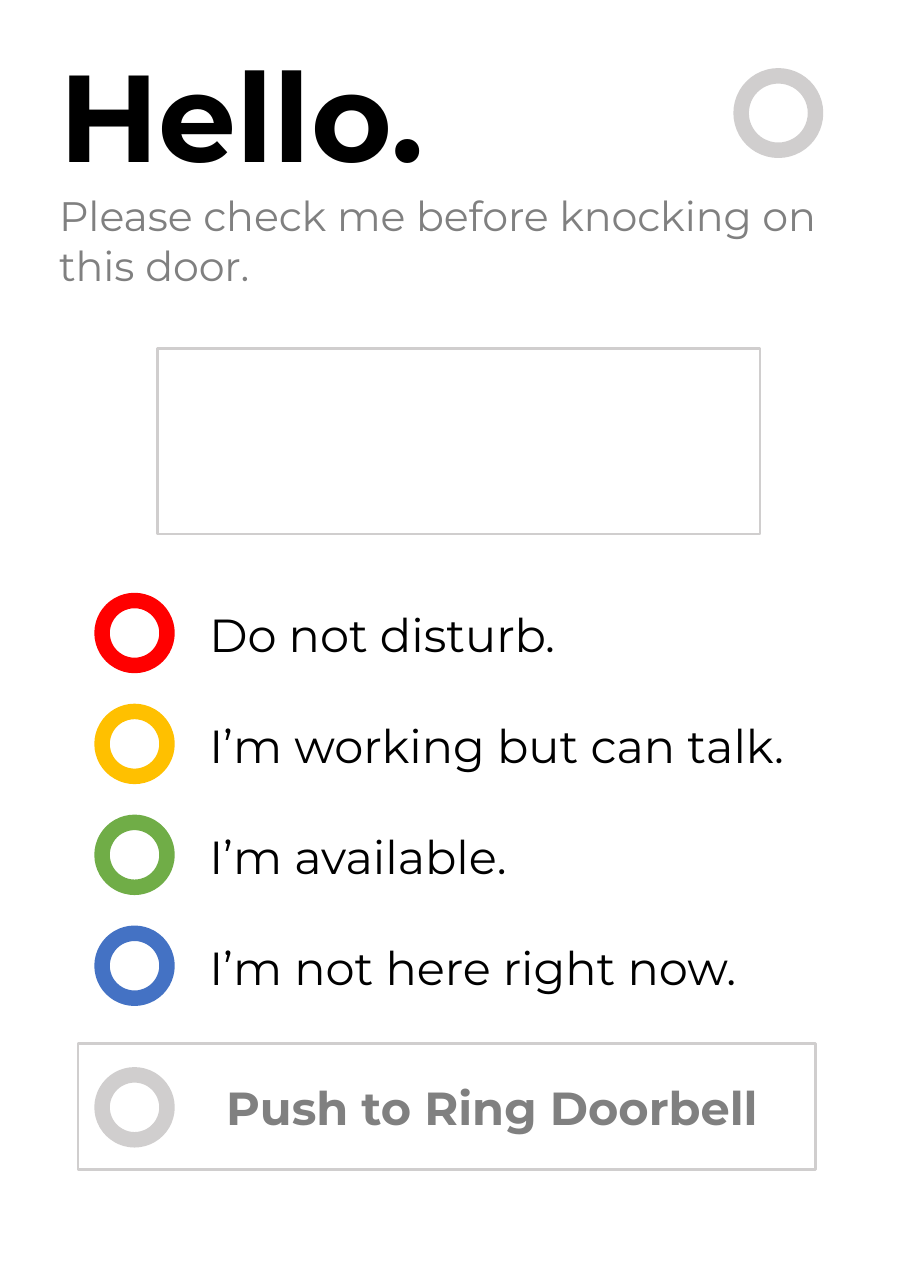
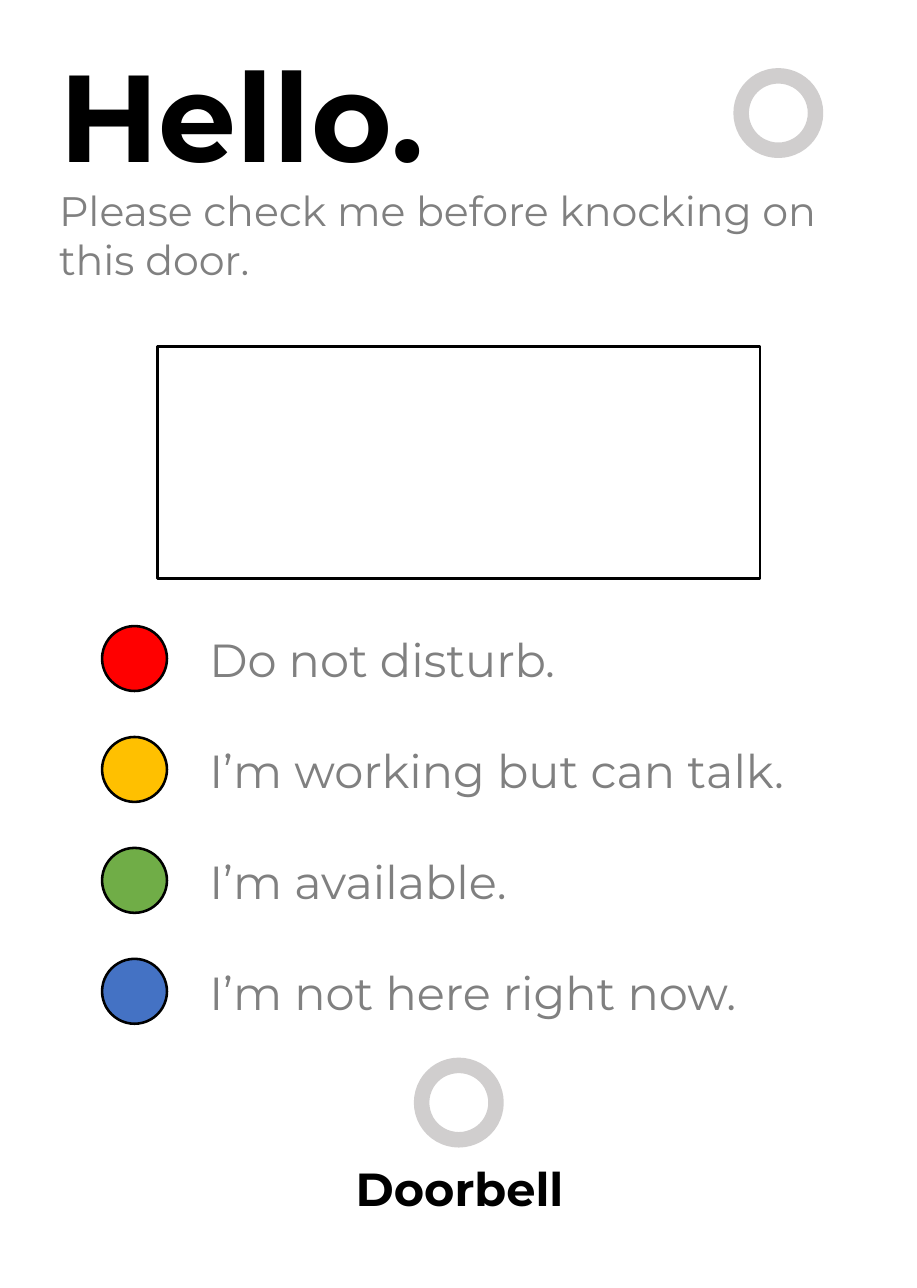
from dataclasses import dataclass
from typing import Any

from pptx import Presentation
from pptx.dml.color import RGBColor
from pptx.enum.shapes import MSO_SHAPE as Preset
from pptx.enum.text import MSO_AUTO_SIZE as AutoSize, PP_ALIGN as Align
from pptx.util import Cm, Pt

FONT = "Montserrat"
BLACK, GREY, SILVER, WHITE = "000000", "808080", "D0CECE", "FFFFFF"

# Status rows, in centimetres
ROW_PITCH = 1.52
DOT_LEFT, DOT_SIZE, DOT_DROP = 1.4, 0.89, 0.05
LABEL_LEFT, LABEL_WIDTH, LABEL_HEIGHT = 2.62, 8.53, 1.02
BUTTON_SIZE = 1.02


@dataclass(frozen=True)
class Status:
    label: str
    color: str


@dataclass(frozen=True)
class SignStyle:
    subtitle_top: float
    window_top: float
    window_height: float
    window_color: str
    rows_top: float
    label_color: str
    hollow_dots: bool


STATUSES = (
    Status("Do not disturb.", "FF0000"),
    Status("I’m working but can talk.", "FFC000"),
    Status("I’m available.", "70AD47"),
    Status("I’m not here right now.", "4472C4"),
)
RING_SIGN = SignStyle(2.49, 4.78, 2.54, SILVER, 8.18, BLACK, True)
DOT_SIGN = SignStyle(2.41, 4.75, 3.18, BLACK, 8.53, GREY, False)


def rgb(color: str) -> RGBColor:
    return RGBColor.from_string(color)


def add_outline(shapes: Any, preset: Preset, left: float, top: float,
                width: float, height: float, line: str,
                weight: float = 1, fill: str | None = None) -> None:
    box = shapes.add_shape(preset, Cm(left), Cm(top), Cm(width), Cm(height))
    box.shadow.inherit = False
    if fill:
        box.fill.solid()
        box.fill.fore_color.rgb = rgb(fill)
    else:
        box.fill.background()
    box.line.color.rgb = rgb(line)
    box.line.width = Pt(weight)


def add_ring(shapes: Any, left: float, top: float, size: float,
             color: str = SILVER) -> None:
    add_outline(shapes, Preset.OVAL, left, top, size, size, color, 6, WHITE)


def add_text(shapes: Any, text: str, left: float, top: float, width: float,
             height: float, color: str, size: float = 18, bold: bool = False,
             align: Align = Align.LEFT) -> None:
    box = shapes.add_textbox(Cm(left), Cm(top), Cm(width), Cm(height))
    frame = box.text_frame
    frame.word_wrap = True
    frame.auto_size = AutoSize.SHAPE_TO_FIT_TEXT
    para = frame.paragraphs[0]
    para.alignment = align
    span = para.add_run()
    span.text = text
    span.font.name = FONT
    span.font.size = Pt(size)
    span.font.bold = bold
    span.font.color.rgb = rgb(color)


def add_status(page: Any, status: Status, top: float, style: SignStyle) -> None:
    shapes = page.shapes.add_group_shape().shapes
    dot_top = top + DOT_DROP
    if style.hollow_dots:
        add_ring(shapes, DOT_LEFT, dot_top, DOT_SIZE, status.color)
    else:
        add_outline(shapes, Preset.OVAL, DOT_LEFT, dot_top, DOT_SIZE, DOT_SIZE,
                    BLACK, fill=status.color)
    add_text(shapes, status.label, LABEL_LEFT, top, LABEL_WIDTH, LABEL_HEIGHT,
             style.label_color)


def add_sign(deck: Any, style: SignStyle) -> Any:
    page = deck.slides.add_slide(deck.slide_layouts[6])
    shapes = page.shapes
    # Header
    add_text(shapes, "Hello.", 0.56, 0.41, 11.46, 2.31, BLACK, 48, bold=True)
    add_ring(shapes, 10.16, 1.04, BUTTON_SIZE)
    add_text(shapes, "Please check me before knocking on this door.",
             0.56, style.subtitle_top, 11.3, 1.63, GREY, 16)
    # Display window
    add_outline(shapes, Preset.RECTANGLE, 2.16, style.window_top,
                8.26, style.window_height, style.window_color)
    # Status rows
    for index, status in enumerate(STATUSES):
        add_status(page, status, style.rows_top + index * ROW_PITCH, style)
    return page


def add_framed_doorbell(page: Any) -> None:
    shapes = page.shapes.add_group_shape().shapes
    add_outline(shapes, Preset.RECTANGLE, 1.07, 14.3, 10.11, 1.73, SILVER)
    add_ring(shapes, DOT_LEFT, 14.73, DOT_SIZE)
    add_text(shapes, "Push to Ring Doorbell", 2.72, 14.66, 8.05, LABEL_HEIGHT,
             GREY, bold=True, align=Align.CENTER)


def add_centred_doorbell(page: Any) -> None:
    add_ring(page.shapes, 5.78, 14.6, BUTTON_SIZE)
    add_text(page.shapes, "Doorbell", 3.1, 15.77, 6.4, LABEL_HEIGHT,
             BLACK, bold=True, align=Align.CENTER)


def main() -> None:
    deck = Presentation()
    deck.slide_width, deck.slide_height = Cm(12.57), Cm(17.65)
    add_framed_doorbell(add_sign(deck, RING_SIGN))
    add_centred_doorbell(add_sign(deck, DOT_SIGN))
    deck.save("out.pptx")


if __name__ == "__main__":
    main()
